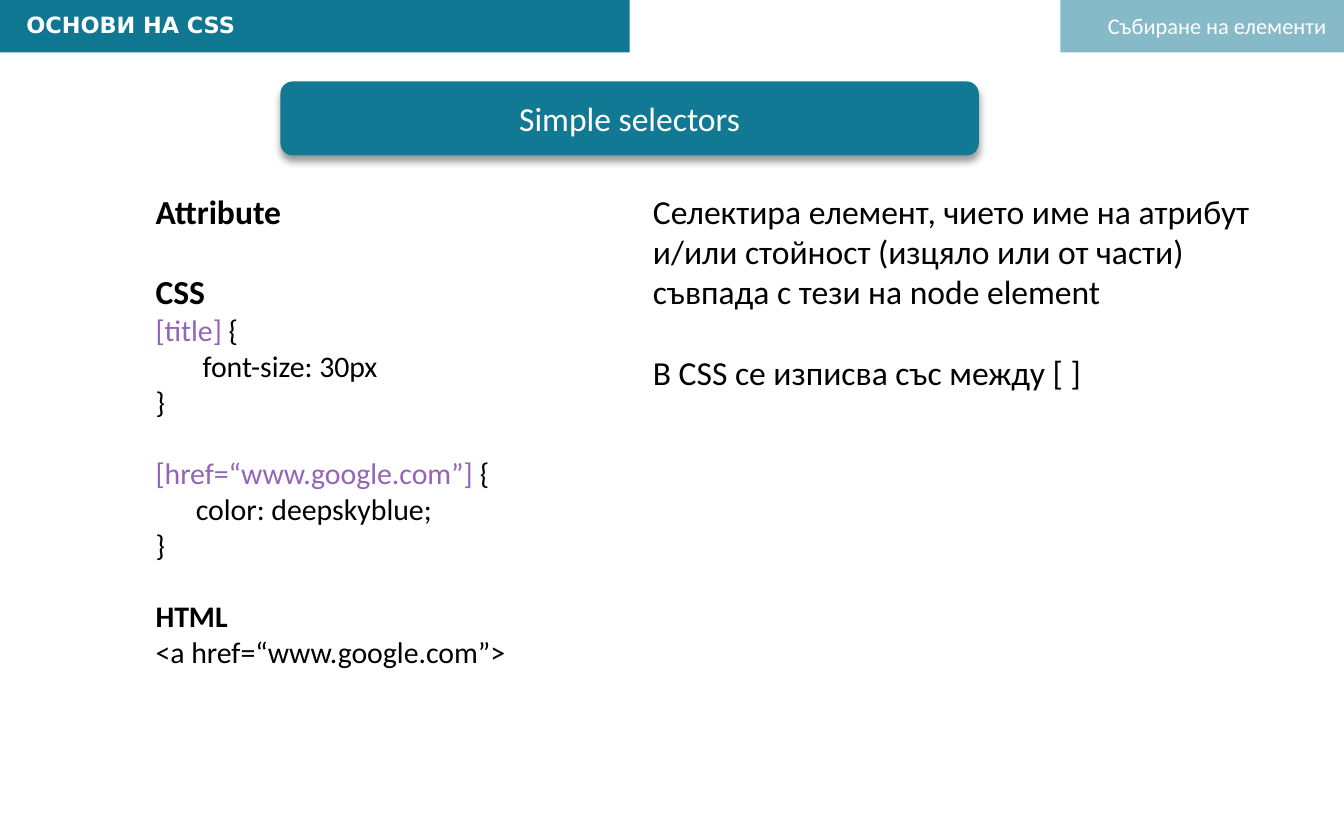
from dataclasses import dataclass

from lxml import etree
from pptx import Presentation
from pptx.dml.color import RGBColor
from pptx.enum import shapes, text
from pptx.oxml import ns
from pptx.util import Cm, Pt

TEAL = RGBColor(0x0F, 0x77, 0x92)
PLATE_TEAL = RGBColor(0x12, 0x79, 0x94)
PURPLE = RGBColor(0x93, 0x65, 0xB8)
BLACK = RGBColor(0, 0, 0)
WHITE = RGBColor(0xFF, 0xFF, 0xFF)

LINE = 1.2  # line height of the body font, as a share of its size


@dataclass(frozen=True)
class Box:
    left: float
    top: float
    width: float
    height: float

    def lengths(self) -> tuple:
        return Cm(self.left), Cm(self.top), Cm(self.width), Cm(self.height)


@dataclass(frozen=True)
class Line:
    """A paragraph: an optional selector, then the rest of its words."""
    words: str
    selector: str = ""
    size: int = 16
    bold: bool = False
    gap: bool = False  # leave one line free above


def add_plate(slide, kind, box: Box, color: RGBColor):
    plate = slide.shapes.add_shape(kind, *box.lengths())
    plate.shadow.inherit = False
    plate.fill.solid()
    plate.fill.fore_color.rgb = color
    plate.line.fill.background()
    return plate


def add_run(paragraph, words: str, *, size: int = 12, color: RGBColor = BLACK,
            bold: bool = False, font: str = "Calibri") -> None:
    run = paragraph.add_run()
    run.text = words
    run.font.size, run.font.bold, run.font.name = Pt(size), bold, font
    run.font.color.rgb = color


def add_text_frame(slide, box: Box, wrap: bool = True):
    frame = slide.shapes.add_textbox(*box.lengths()).text_frame
    frame.word_wrap = wrap
    frame.auto_size = text.MSO_AUTO_SIZE.SHAPE_TO_FIT_TEXT
    return frame


def add_column(slide, box: Box, lines: list[Line]) -> None:
    frame = add_text_frame(slide, box)
    for index, line in enumerate(lines):
        paragraph = frame.add_paragraph() if index else frame.paragraphs[0]
        if line.gap:
            paragraph.space_before = Pt(line.size * LINE)
        if line.selector:
            add_run(paragraph, line.selector, size=line.size, color=PURPLE)
        add_run(paragraph, line.words, size=line.size, bold=line.bold)


def make_half_transparent(plate) -> None:
    color = plate.element.spPr.find(".//" + ns.qn("a:srgbClr"))
    etree.SubElement(color, ns.qn("a:alpha"), val="50000")


def drop_shadow(plate) -> None:
    effects = plate.element.spPr.find(ns.qn("a:effectLst"))
    shadow = etree.SubElement(effects, ns.qn("a:outerShdw"), blurRad=str(Pt(4)),
                              dist=str(Pt(3)), dir="5400000", rotWithShape="0")
    color = etree.SubElement(shadow, ns.qn("a:srgbClr"), val="000000")
    etree.SubElement(color, ns.qn("a:alpha"), val="40000")


def add_header(slide) -> None:
    rectangle = shapes.MSO_SHAPE.RECTANGLE
    section_band = add_plate(slide, rectangle, Box(20.04, 0, 5.36, 0.99), TEAL)
    make_half_transparent(section_band)
    add_plate(slide, rectangle, Box(0, 0, 11.9, 0.99), TEAL)

    course = add_text_frame(slide, Box(0.25, 0.08, 11.46, 0.77)).paragraphs[0]
    add_run(course, "ОСНОВИ НА CSS", color=WHITE, bold=True, font="DejaVu Sans")
    section = add_text_frame(slide, Box(20.65, 0.1, 4.67, 0.77), wrap=False).paragraphs[0]
    section.alignment = text.PP_ALIGN.RIGHT
    add_run(section, "Събиране на елементи", color=WHITE)


def add_title(slide) -> None:
    box = Box(5.3, 1.54, 13.2, 1.4)
    plate = add_plate(slide, shapes.MSO_SHAPE.ROUNDED_RECTANGLE, box, PLATE_TEAL)
    drop_shadow(plate)
    title = slide.shapes.title
    title.element.addprevious(plate.element)
    title.left, title.top, title.width, title.height = box.lengths()
    frame = title.text_frame
    frame.auto_size = text.MSO_AUTO_SIZE.NONE
    frame.vertical_anchor = text.MSO_ANCHOR.MIDDLE
    frame.paragraphs[0].alignment = text.PP_ALIGN.CENTER
    add_run(frame.paragraphs[0], "Simple selectors", size=18, color=WHITE)


EXAMPLE = [
    Line("Attribute", size=18, bold=True),
    Line("CSS", size=18, bold=True, gap=True),
    Line(" {", selector="[title]"),
    Line("       font-size: 30px"),
    Line("}"),
    Line(" {", selector="[href=“www.google.com”]", gap=True),
    Line("      color: deepskyblue;"),
    Line("}"),
    Line("HTML", bold=True, gap=True),
    Line("<a href=“www.google.com”>"),
]
EXPLANATION = [
    Line("Селектира елемент, чието име на атрибут и/или стойност "
         "(изцяло или от части) съвпада с тези на node element", size=18),
    Line("В CSS се изписва със между [ ]", size=18, gap=True),
]


def main() -> None:
    deck = Presentation()
    deck.slide_width, deck.slide_height = Cm(25.4), Cm(15.88)
    slide = deck.slides.add_slide(deck.slide_layouts.get_by_name("Title Only"))
    add_header(slide)
    add_title(slide)
    add_column(slide, Box(2.69, 3.48, 7.87, 9.5), EXAMPLE)
    add_column(slide, Box(12.09, 3.48, 12.4, 4.88), EXPLANATION)
    deck.save("out.pptx")


if __name__ == "__main__":
    main()
